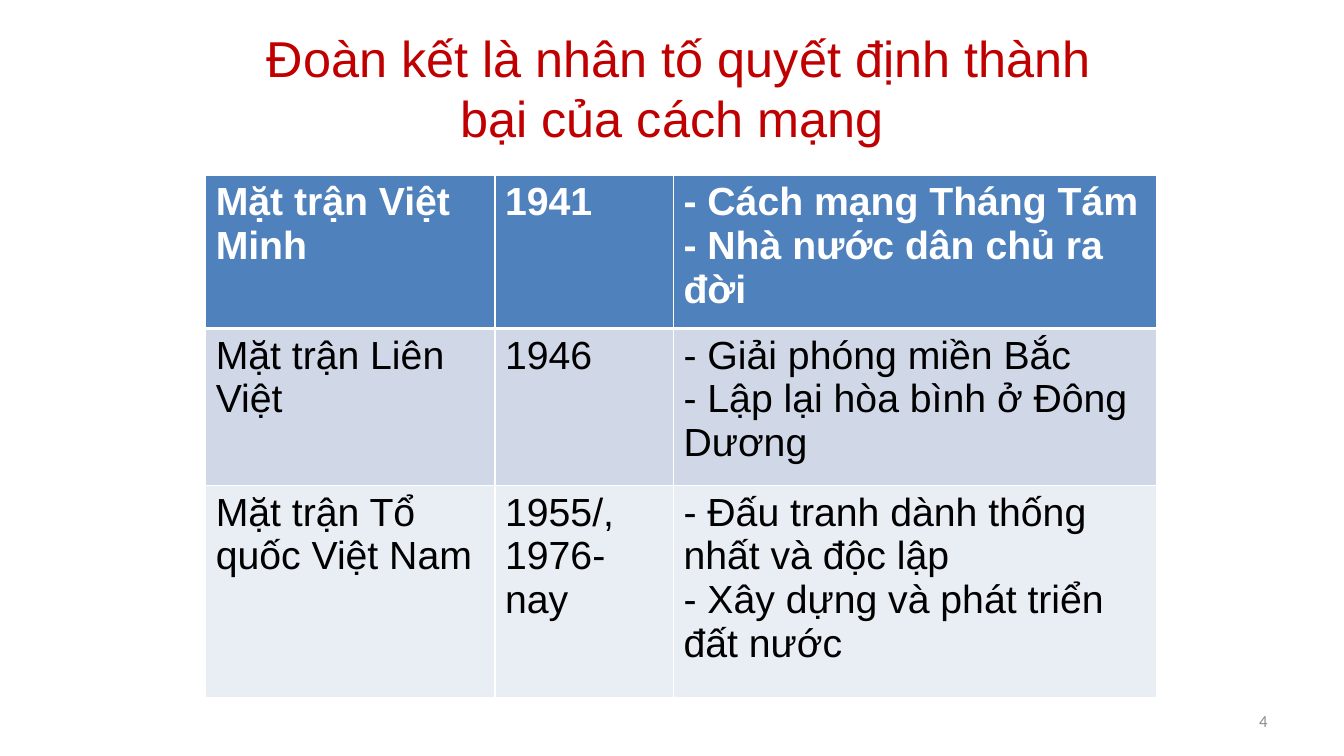
from lxml import etree
from pptx import Presentation
from pptx.dml.color import RGBColor
from pptx.enum.text import MSO_ANCHOR, PP_ALIGN
from pptx.oxml.ns import qn
from pptx.util import Inches, Pt

CENTER, LEFT, RIGHT = PP_ALIGN.CENTER, PP_ALIGN.LEFT, PP_ALIGN.RIGHT
TOP, MIDDLE = MSO_ANCHOR.TOP, MSO_ANCHOR.MIDDLE

COLORS = {
    "title": "C00000",
    "number": "8C8C8C",
    "header": "4F81BD",
    "band_dark": "D0D8E8",
    "band_light": "E9EDF4",
    "white": "FFFFFF",
    "black": "000000",
}
TITLE_BOX = (2.14, 0.17, 9.05, 1.39)
TABLE_BOX = (2.04, 1.74, 9.43, 5.18)
NUMBER_BOX = (9.56, 6.95, 3.11, 0.4)
COLUMN_WIDTHS = (2.87, 1.77, 4.79)
ROW_HEIGHTS = (1.52, 1.56, 2.1)
FRONTS = [
    (["Mặt trận Việt Minh"], ["1941"],
     ["- Cách mạng Tháng Tám", "- Nhà nước dân chủ ra đời"]),
    (["Mặt trận Liên Việt"], ["1946"],
     ["- Giải phóng miền Bắc", "- Lập lại hòa bình ở Đông Dương"]),
    (["Mặt trận Tổ quốc Việt Nam"], ["1955/,", "1976-nay"],
     ["- Đấu tranh dành thống nhất và độc lập",
      "- Xây dựng và phát triển đất nước"]),
]


def paint(fill, name):
    fill.solid()
    fill.fore_color.rgb = RGBColor.from_string(COLORS[name])


def write_text(frame, lines, size, color, font="Arial", bold=False, align=LEFT):
    for index, line in enumerate(lines):
        paragraph = frame.paragraphs[0] if index == 0 else frame.add_paragraph()
        paragraph.alignment = align
        run = paragraph.add_run()
        run.text = line
        run.font.name, run.font.size, run.font.bold = font, Pt(size), bold
        paint(run.font.fill, color)


def add_text_box(slide, box, lines, **text_format):
    frame = slide.shapes.add_textbox(*map(Inches, box)).text_frame
    frame.word_wrap = True
    frame.vertical_anchor = MIDDLE
    write_text(frame, lines, **text_format)


def set_borders(cell, top=1, bottom=1):
    """Draw white cell edges; widths are in points."""
    properties = cell._tc.get_or_add_tcPr()
    widths = {"a:lnL": 1, "a:lnR": 1, "a:lnT": top, "a:lnB": bottom}
    for position, (tag, width) in enumerate(widths.items()):
        line = etree.Element(qn(tag), w=str(int(Pt(width))))
        fill = etree.SubElement(line, qn("a:solidFill"))
        etree.SubElement(fill, qn("a:srgbClr"), val=COLORS["white"])
        properties.insert(position, line)


def add_fronts_table(slide, box):
    shape = slide.shapes.add_table(
        len(ROW_HEIGHTS), len(COLUMN_WIDTHS), *map(Inches, box))
    table = shape.table
    for column, width in zip(table.columns, COLUMN_WIDTHS):
        column.width = Inches(width)
    for row, height in zip(table.rows, ROW_HEIGHTS):
        row.height = Inches(height)
    fills = ("header", "band_dark", "band_light")
    for row_index, (front, fill) in enumerate(zip(FRONTS, fills)):
        header = row_index == 0
        for column_index, lines in enumerate(front):
            cell = table.cell(row_index, column_index)
            cell.vertical_anchor = TOP
            paint(cell.fill, fill)
            set_borders(cell, top=3 if row_index == 1 else 1,
                        bottom=3 if header else 1)
            write_text(cell.text_frame, lines, size=28, bold=header,
                       color="white" if header else "black")


def build_slide(presentation):
    slide = presentation.slides.add_slide(presentation.slide_layouts[6])
    add_text_box(slide, TITLE_BOX,
                 [" Đoàn kết là nhân tố quyết định thành bại của cách mạng"],
                 size=36, color="title", align=CENTER)
    add_fronts_table(slide, TABLE_BOX)
    add_text_box(slide, NUMBER_BOX, ["4"], size=12, color="number",
                 font="Calibri", align=RIGHT)


def main():
    presentation = Presentation()
    presentation.slide_width = Inches(13.33)
    presentation.slide_height = Inches(7.5)
    build_slide(presentation)
    presentation.save("out.pptx")


if __name__ == "__main__":
    main()
